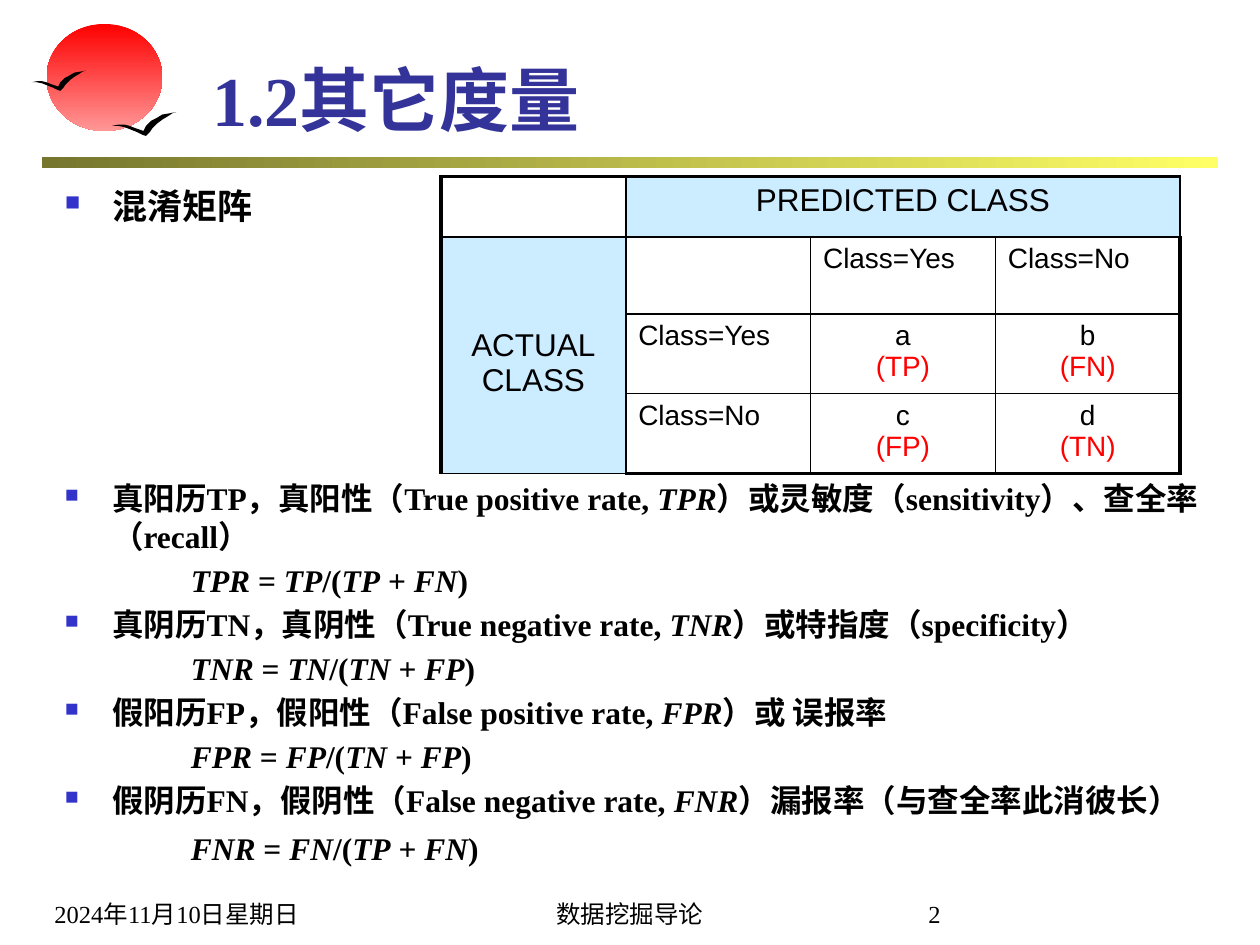
from lxml.etree import SubElement
from pptx import Presentation
from pptx.dml.color import RGBColor
from pptx.enum.shapes import MSO_SHAPE as Shape
from pptx.enum.text import MSO_ANCHOR as Anchor, MSO_AUTO_SIZE as AutoSize, PP_ALIGN as Align
from pptx.oxml.ns import qn
from pptx.util import Pt

SERIF, SANS = "Times New Roman", "Arial"
BLACK, RED, PALE_BLUE = "000000", "FF0000", "CCECFF"
BODY = {"name": SERIF, "size": Pt(18), "bold": True}
FOOTER = {"name": SERIF, "size": Pt(14)}
HEADER_CELL = {"name": SANS, "size": Pt(18)}
CELL = {"name": SANS, "size": Pt(16)}

# Bird outline in hundredths of an inch
BIRD = [(0, 11), (5, 10), (10, 10), (14, 11), (19, 13), (25, 15), (27, 11), (31, 7),
        (35, 5), (40, 2), (46, 1), (51, 0), (48, 1), (45, 3), (40, 6), (36, 9), (32, 13),
        (30, 16), (28, 18), (27, 19), (24, 18), (20, 16), (15, 14), (10, 12), (5, 11)]

# Lead text, rate, closing text, numerator, the two terms of the denominator
RATES = [
    ("真阳历TP，真阳性（True positive rate, ", "TPR",
     "）或灵敏度（sensitivity）、查全率（recall）", "TP", "TP", "FN"),
    ("真阴历TN，真阴性（True negative rate, ", "TNR",
     "）或特指度（specificity）", "TN", "TN", "FP"),
    ("假阳历FP，假阳性（False positive rate, ", "FPR", "）或 误报率", "FP", "TN", "FP"),
    ("假阴历FN，假阴性（False negative rate, ", "FNR",
     "）漏报率（与查全率此消彼长）", "FN", "TP", "FN"),
]


def rgb(color):
    return RGBColor.from_string(color)


def add_run(paragraph, text, style, color=BLACK, **extra):
    run = paragraph.add_run()
    run.text = text
    for name, value in {**style, **extra}.items():
        setattr(run.font, name, value)
    run.font.color.rgb = rgb(color)


def add_gradient_shape(slide, kind, box, colors, angle):
    shape = slide.shapes.add_shape(kind, *map(Pt, box))
    shape.shadow.inherit = False
    shape.line.fill.background()
    shape.fill.gradient()
    shape.fill.gradient_angle = angle
    for stop, color in zip(shape.fill.gradient_stops, colors):
        stop.color.rgb = rgb(color)


def add_bird(slide, left, top, scale):
    builder = slide.shapes.build_freeform(*BIRD[0], scale=Pt(scale))
    builder.add_line_segments(BIRD[1:], close=True)
    bird = builder.convert_to_shape(Pt(left), Pt(top))
    bird.shadow.inherit = False
    bird.fill.solid()
    bird.fill.fore_color.rgb = rgb(BLACK)
    bird.line.fill.background()


def add_text_box(slide, box, anchor=Anchor.TOP):
    frame = slide.shapes.add_textbox(*map(Pt, box)).text_frame
    frame.word_wrap = True
    frame.vertical_anchor = anchor
    return frame


def add_footer(slide, left, width, text, align):
    paragraph = add_text_box(slide, (left, 498, width, 36), Anchor.BOTTOM).paragraphs[0]
    paragraph.alignment = align
    add_run(paragraph, text, FOOTER)


def set_title(slide, text):
    title = slide.shapes.title
    title.left, title.top, title.width, title.height = map(Pt, (114, 24, 582, 60))
    frame = title.text_frame
    frame.auto_size = AutoSize.NONE
    frame.vertical_anchor = Anchor.BOTTOM
    paragraph = frame.paragraphs[0]
    paragraph.alignment = Align.LEFT
    add_run(paragraph, text, {"name": SERIF, "size": Pt(40), "bold": True}, "333399")


def indent(paragraph, left, first):
    properties = paragraph._p.get_or_add_pPr()
    properties.set("marL", str(Pt(left)))
    properties.set("indent", str(Pt(first)))
    return properties


def make_bullet(paragraph):
    properties = indent(paragraph, 27, -27)
    color = SubElement(properties, qn("a:buClr"))
    SubElement(color, qn("a:srgbClr"), val="3333CC")
    SubElement(properties, qn("a:buSzPct"), val="60000")
    SubElement(properties, qn("a:buChar"), char="■")


def add_body(slide):
    frame = add_text_box(slide, (30, 102, 690, 394))
    heading = frame.paragraphs[0]
    make_bullet(heading)
    add_run(heading, "混淆矩阵", BODY, size=Pt(20))

    for number, (lead, rate, tail, numerator, first, second) in enumerate(RATES):
        # The first item starts below the table
        item = frame.add_paragraph()
        make_bullet(item)
        item.space_before = Pt(3.6 if number else 144)
        for text, italic in ((lead, False), (rate, True), (tail, False)):
            add_run(item, text, BODY, italic=italic)

        formula = frame.add_paragraph()
        indent(formula, 90, -18)
        formula.space_before = Pt(6 if number == len(RATES) - 1 else 3.6)
        pieces = (rate, " = ", numerator, "/(", first, " + ", second, ")")
        for position, text in enumerate(pieces):
            add_run(formula, text, BODY, italic=position % 2 == 0)


def set_borders(cell, row, column, last_row, last_column):
    properties = cell._tc.get_or_add_tcPr()
    sides = (("a:lnL", column == 0), ("a:lnR", column == last_column),
             ("a:lnT", row == 0), ("a:lnB", row == last_row))
    for position, (tag, outer) in enumerate(sides):
        line = SubElement(properties, qn(tag), w=str(Pt(2.25 if outer else 1)))
        SubElement(SubElement(line, qn("a:solidFill")), qn("a:srgbClr"), val=BLACK)
        properties.remove(line)
        properties.insert(position, line)


def fill_cell(cell, lines, style, align, colors=(BLACK, BLACK)):
    paragraph = cell.text_frame.paragraphs[0]
    paragraph.alignment = align
    for number, (text, color) in enumerate(zip(lines, colors)):
        if number:
            paragraph.add_line_break()
        add_run(paragraph, text, style, color)


def add_confusion_matrix(slide):
    table = slide.shapes.add_table(4, 4, Pt(252), Pt(100.8), Pt(422.4), Pt(166.5)).table
    table.first_row = table.horz_banding = False
    for column in table.columns:
        column.width = Pt(105.6)
    for number, row in enumerate(table.rows):
        row.height = Pt(44 if number else 34.5)

    for row in range(4):
        for column in range(4):
            cell = table.cell(row, column)
            if (row == 0) != (column == 0):
                cell.fill.solid()
                cell.fill.fore_color.rgb = rgb(PALE_BLUE)
            else:
                cell.fill.background()
            set_borders(cell, row, column, 3, 3)

    # Merged headers
    predicted, actual = table.cell(0, 1), table.cell(1, 0)
    predicted.merge(table.cell(0, 3))
    actual.merge(table.cell(3, 0))
    fill_cell(predicted, ["PREDICTED CLASS"], HEADER_CELL, Align.CENTER)
    fill_cell(actual, ["ACTUAL", "CLASS"], HEADER_CELL, Align.CENTER)
    actual.vertical_anchor = Anchor.MIDDLE
    actual.margin_top = Pt(13)

    # Class labels and counts
    for number, label in enumerate(("Class=Yes", "Class=No"), start=2):
        fill_cell(table.cell(1, number), [label], CELL, Align.LEFT)
        fill_cell(table.cell(number, 1), [label], CELL, Align.LEFT)
    counts = (("a", "(TP)"), ("b", "(FN)"), ("c", "(FP)"), ("d", "(TN)"))
    for number, lines in enumerate(counts):
        cell = table.cell(2 + number // 2, 2 + number % 2)
        fill_cell(cell, lines, CELL, Align.CENTER, (BLACK, RED))


def main():
    presentation = Presentation()
    presentation.slide_width, presentation.slide_height = Pt(720), Pt(540)
    slide = presentation.slides.add_slide(presentation.slide_layouts[5])

    # Decoration: rule, sun and birds
    add_gradient_shape(slide, Shape.RECTANGLE, (24, 90, 672, 6), ("76762F", "FFFF66"), 0)
    add_gradient_shape(slide, Shape.OVAL, (26.6, 13.7, 66.2, 61.2), (RED, "FF9797"), 270)
    add_bird(slide, 18, 40.3, 0.61)
    add_bird(slide, 64, 64, 0.72)

    # Content
    set_title(slide, "1.2其它度量")
    add_body(slide)
    add_confusion_matrix(slide)

    # Footer
    add_footer(slide, 24, 198, "2024年11月10日星期日", Align.LEFT)
    add_footer(slide, 246, 228, "数据挖掘导论", Align.CENTER)
    add_footer(slide, 498, 72, "2", Align.CENTER)

    presentation.save("out.pptx")


if __name__ == "__main__":
    main()
